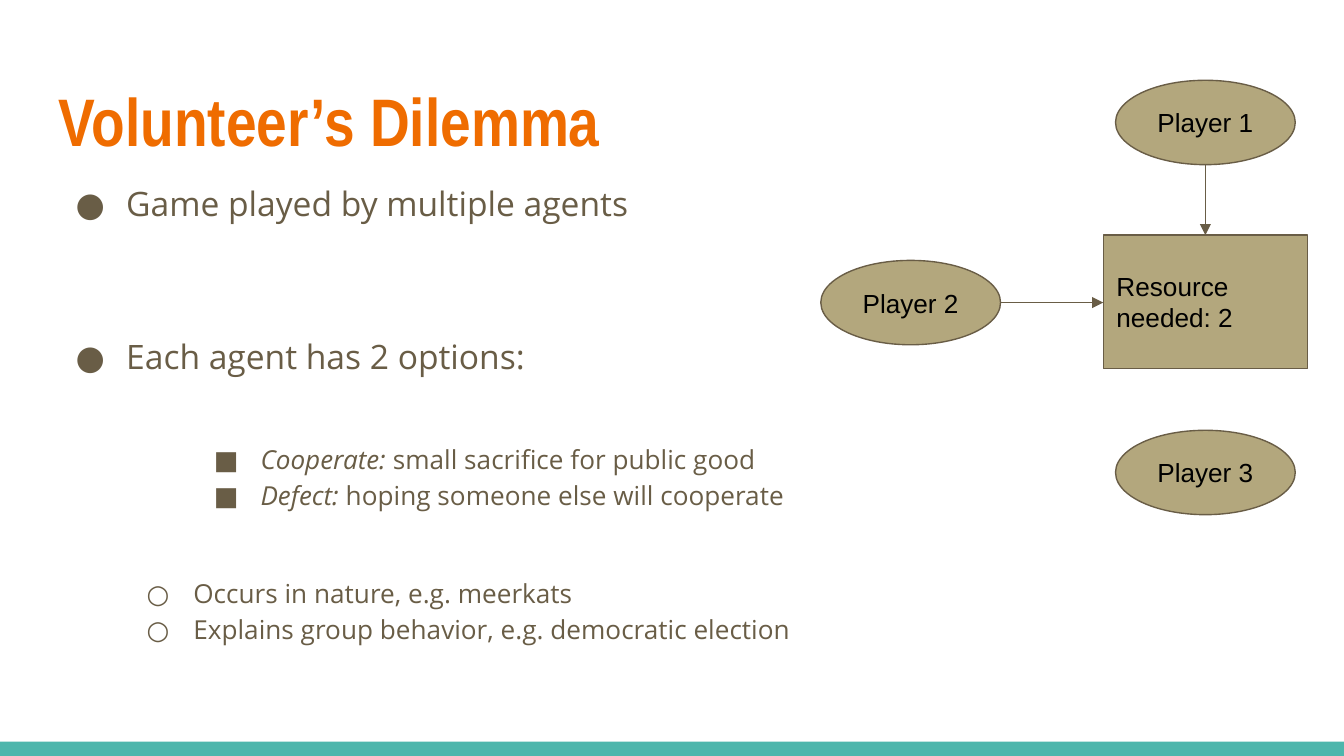
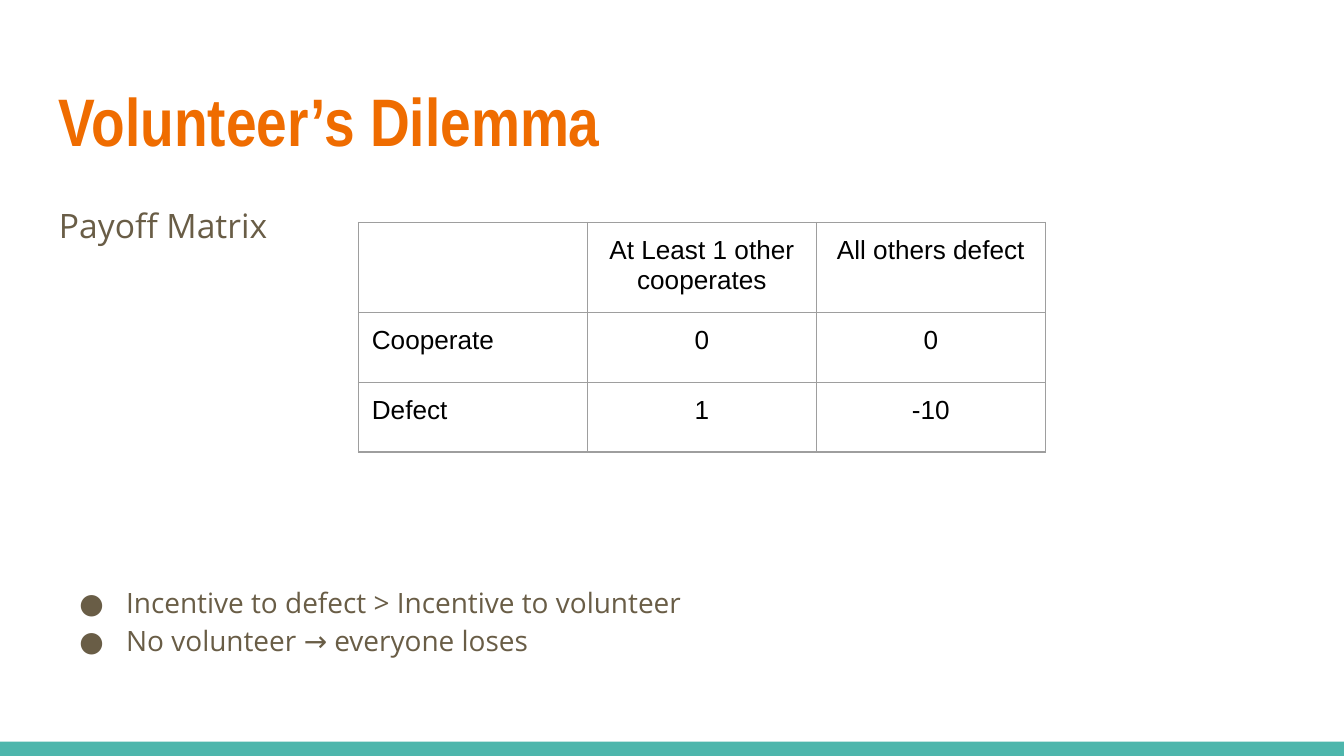
"""Build two slides on the volunteer's dilemma."""
from lxml import etree
from pptx import Presentation
from pptx.dml.color import RGBColor
from pptx.enum.shapes import MSO_CONNECTOR, MSO_SHAPE
from pptx.enum.text import MSO_ANCHOR, PP_ALIGN
from pptx.oxml.ns import qn
from pptx.util import Pt

RECTANGLE, OVAL = MSO_SHAPE.RECTANGLE, MSO_SHAPE.OVAL
STRAIGHT = MSO_CONNECTOR.STRAIGHT
MIDDLE = MSO_ANCHOR.MIDDLE
LEFT, CENTER = PP_ALIGN.LEFT, PP_ALIGN.CENTER

ORANGE, TEAL, BROWN, SAND = "EF6C00", "4DB6AC", "695D46", "B3A77D"
BLACK, GRAY = "000000", "9E9E9E"
TITLE_FONT, BODY_FONT, LABEL_FONT = "Arial Narrow", "Open Sans", "Arial"
INSET = 7.2
MARGIN, CONTENT_WIDTH = 24.5, 671


def color(hex_string):
    return RGBColor.from_string(hex_string)


def style_text(text_frame, font, size, hex_string):
    text_frame.word_wrap = True
    text_frame.margin_left = text_frame.margin_right = Pt(INSET)
    text_frame.margin_top = text_frame.margin_bottom = Pt(INSET)
    for paragraph in text_frame.paragraphs:
        for run in paragraph.runs:
            run.font.name = font
            run.font.size = Pt(size)
            run.font.color.rgb = color(hex_string)


presentation = Presentation()
presentation.slide_width, presentation.slide_height = Pt(720), Pt(405)

# Each paragraph: level, bullet, left indent, hanging indent, size, space before, italic lead, text
paragraphs_by_slide = [
    (87.8, 269.3, [
        (0, "●", 36, 27, 18, 0, "", "Game played by multiple agents"),
        (0, "●", 36, 27, 18, 57, "", "Each agent has 2 options:"),
        (2, "■", 108, 25, 14, 33.4, "Cooperate:", " small sacrifice for public good"),
        (2, "■", 108, 25, 14, 0, "Defect:", " hoping someone else will cooperate"),
        (1, "○", 72, 25, 14, 33.4, "", "Occurs in nature, e.g. meerkats"),
        (1, "○", 72, 25, 14, 0, "", "Explains group behavior, e.g. democratic election"),
    ]),
    (99.4, 260, [
        (0, "", 0, 0, 18, 0, "", "Payoff Matrix"),
        (0, "●", 36, 25, 15, 179.5, "", "Incentive to defect > Incentive to volunteer"),
        (0, "●", 36, 25, 15, 0, "", "No volunteer → everyone loses"),
    ]),
]

slides = []
for body_top, body_height, body_paragraphs in paragraphs_by_slide:
    slide = presentation.slides.add_slide(presentation.slide_layouts[6])
    slides.append(slide)
    slide.background.fill.solid()
    slide.background.fill.fore_color.rgb = color("FFFFFF")

    band = slide.shapes.add_shape(RECTANGLE, Pt(0), Pt(397.3), Pt(720), Pt(7.7))
    band.shadow.inherit = False
    band.fill.solid()
    band.fill.fore_color.rgb = color(TEAL)
    band.line.fill.background()

    title = slide.shapes.add_textbox(Pt(MARGIN), Pt(35.3), Pt(CONTENT_WIDTH), Pt(55.4))
    title.text_frame.text = "Volunteer’s Dilemma"
    style_text(title.text_frame, TITLE_FONT, 36, ORANGE)
    title.text_frame.paragraphs[0].runs[0].font.bold = True

    body = slide.shapes.add_textbox(Pt(MARGIN), Pt(body_top), Pt(CONTENT_WIDTH), Pt(body_height))
    body.text_frame.text = "\n".join(item[-1] for item in body_paragraphs)
    style_text(body.text_frame, BODY_FONT, 18, BROWN)
    for paragraph, item in zip(body.text_frame.paragraphs, body_paragraphs):
        level, bullet, indent, hanging, size, space_before, lead, text = item
        paragraph.level = level
        paragraph.line_spacing = 1.15
        paragraph.space_before = Pt(space_before)
        if lead:
            paragraph.runs[0].text = lead
            paragraph.runs[0].font.italic = True
            rest = paragraph.add_run()
            rest.text = text
            rest.font.name = BODY_FONT
            rest.font.color.rgb = color(BROWN)
        for run in paragraph.runs:
            run.font.size = Pt(size)
        if bullet:
            properties = paragraph._p.get_or_add_pPr()
            properties.set("marL", str(Pt(indent)))
            properties.set("indent", str(-Pt(hanging)))
            bullet_color = etree.SubElement(properties, qn("a:buClr"))
            etree.SubElement(bullet_color, qn("a:srgbClr"), val=BROWN)
            etree.SubElement(properties, qn("a:buFont"), typeface=BODY_FONT)
            etree.SubElement(properties, qn("a:buChar"), char=bullet)

game_slide, payoff_slide = slides

diagram_nodes = [
    (RECTANGLE, 591, 126, 109.5, 71.5, LEFT, "Resource needed: 2"),
    (OVAL, 597.6, 43, 96.3, 45.2, CENTER, "Player 1"),
    (OVAL, 439.7, 139.5, 96.3, 45.2, CENTER, "Player 2"),
    (OVAL, 597.6, 230.5, 96.3, 45.2, CENTER, "Player 3"),
]
for kind, left, top, width, height, alignment, label in diagram_nodes:
    node = game_slide.shapes.add_shape(kind, Pt(left), Pt(top), Pt(width), Pt(height))
    node.shadow.inherit = False
    node.fill.solid()
    node.fill.fore_color.rgb = color(SAND)
    node.line.color.rgb = color(BROWN)
    node.line.width = Pt(0.75)
    node.text_frame.text = label
    node.text_frame.vertical_anchor = MIDDLE
    node.text_frame.paragraphs[0].alignment = LEFT if kind == RECTANGLE else alignment
    style_text(node.text_frame, LABEL_FONT, 14, BLACK)

for start_x, start_y, end_x, end_y in [(645.75, 88.2, 645.75, 126), (536, 162.1, 591, 162.1)]:
    arrow = game_slide.shapes.add_connector(STRAIGHT, Pt(start_x), Pt(start_y), Pt(end_x), Pt(end_y))
    arrow.line.color.rgb = color(BROWN)
    arrow.line.width = Pt(0.75)
    etree.SubElement(arrow.line._get_or_add_ln(), qn("a:tailEnd"), type="triangle")
    etree.SubElement(arrow._element.spPr, qn("a:effectLst"))

payoff_rows = [
    ("", "At Least 1 other cooperates", "All others defect"),
    ("Cooperate", "0", "0"),
    ("Defect", "1", "-10"),
]
row_heights = [46, 37.5, 37.5]
table = payoff_slide.shapes.add_table(
    3, 3, Pt(192), Pt(119.2), Pt(368.1), Pt(sum(row_heights))).table
table.first_row = table.horz_banding = False
for column in table.columns:
    column.width = Pt(122.7)
for row, height, values in zip(table.rows, row_heights, payoff_rows):
    row.height = Pt(height)
    for index, (cell, value) in enumerate(zip(row.cells, values)):
        cell.text_frame.text = value
        cell.margin_left = cell.margin_right = Pt(INSET)
        cell.margin_top = cell.margin_bottom = Pt(INSET)
        paragraph = cell.text_frame.paragraphs[0]
        paragraph.alignment = CENTER if index else LEFT
        for run in paragraph.runs:
            run.font.name = LABEL_FONT
            run.font.size = Pt(14)
            run.font.color.rgb = color(BLACK)
        cell_properties = cell._tc.get_or_add_tcPr()
        for side in ("a:lnL", "a:lnR", "a:lnT", "a:lnB"):
            border = etree.SubElement(cell_properties, qn(side), w=str(Pt(0.75)))
            border_fill = etree.SubElement(border, qn("a:solidFill"))
            etree.SubElement(border_fill, qn("a:srgbClr"), val=GRAY)
        cell.fill.background()

presentation.save("out.pptx")
